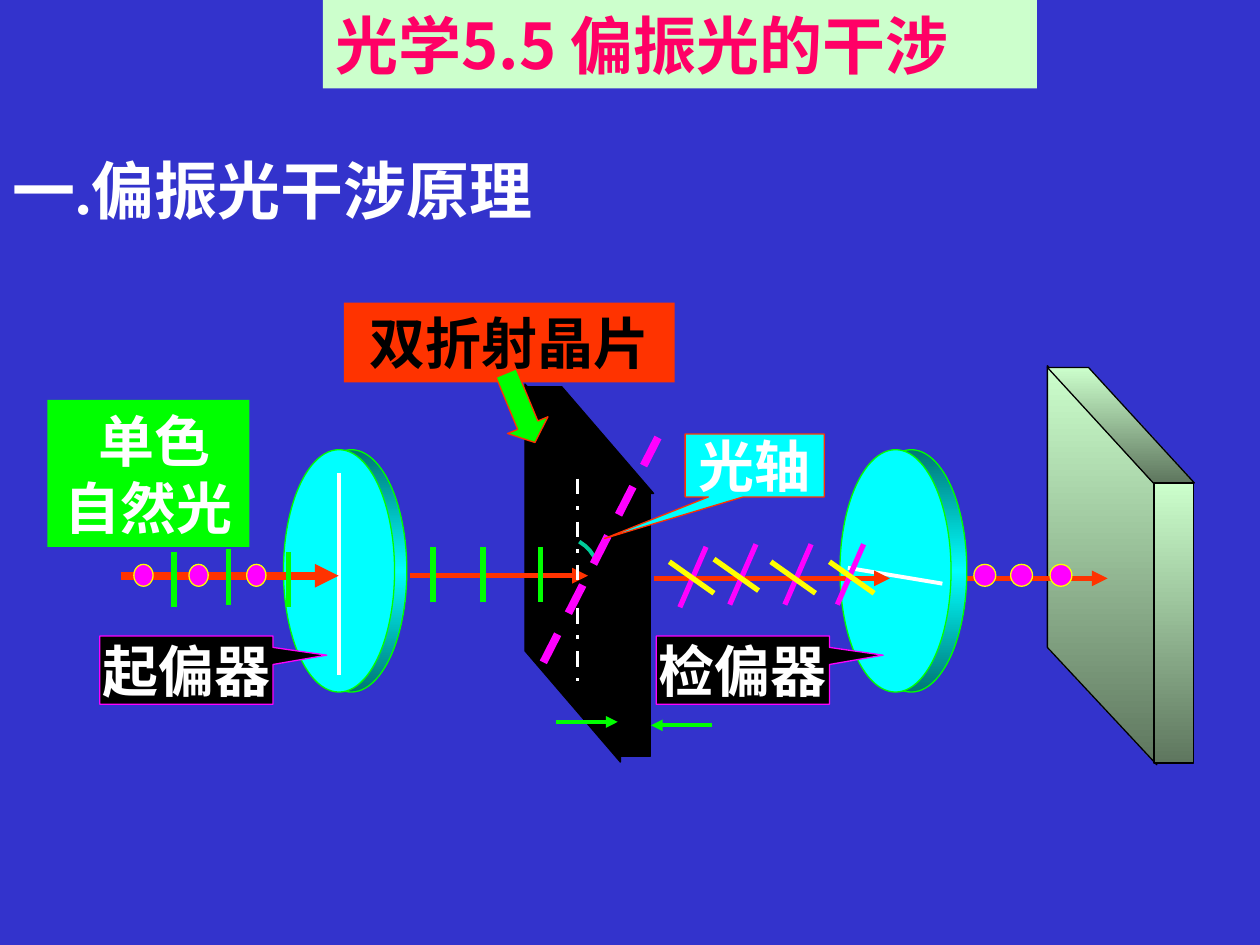
from lxml import etree
from pptx import Presentation
from pptx.dml.color import RGBColor
from pptx.enum.dml import MSO_LINE
from pptx.enum.shapes import MSO_CONNECTOR, MSO_SHAPE
from pptx.enum.text import MSO_ANCHOR, PP_ALIGN
from pptx.oxml.ns import qn
from pptx.util import Pt

RECT, OVAL = MSO_SHAPE.RECTANGLE, MSO_SHAPE.OVAL
CALLOUT, DOWN_ARROW = MSO_SHAPE.RECTANGULAR_CALLOUT, MSO_SHAPE.DOWN_ARROW
STRAIGHT = MSO_CONNECTOR.STRAIGHT
DASH, DASH_DOT = MSO_LINE.DASH, MSO_LINE.DASH_DOT
TOP, MIDDLE = MSO_ANCHOR.TOP, MSO_ANCHOR.MIDDLE
LEFT, CENTER = PP_ALIGN.LEFT, PP_ALIGN.CENTER
rgb = RGBColor.from_string

GREEN, CYAN, MAGENTA, YELLOW = "00FF00", "00FFFF", "FF00FF", "FFFF00"
RED, WHITE, BLACK = "FF3300", "FFFFFF", "000000"
GLASS = ["CCFFCC", "5E765E"]
RIM = ["007676", CYAN, "007676"]
CJK, LATIN = "Noto Sans CJK SC", "Times New Roman"


def paint(shape, colours, outline=None, width=0.75):
    shape.shadow.inherit = False
    if not colours:
        shape.fill.background()
    elif len(colours) == 1:
        shape.fill.solid()
        shape.fill.fore_color.rgb = rgb(colours[0])
    else:
        shape.fill.gradient()
        shape.fill.gradient_angle = 270
        stops = shape._element.spPr.find(qn("a:gradFill")).find(qn("a:gsLst"))
        for stop in list(stops):
            stops.remove(stop)
        for i, colour in enumerate(colours):
            position = str(100000 * i // (len(colours) - 1))
            stop = etree.SubElement(stops, qn("a:gs"), pos=position)
            etree.SubElement(stop, qn("a:srgbClr"), val=colour)
    if outline:
        shape.line.color.rgb = rgb(outline)
        shape.line.width = Pt(width)
    else:
        shape.line.fill.background()


def stroke(x1, y1, x2, y2, colour, width, arrow=False, dash=None):
    ray = slide.shapes.add_connector(STRAIGHT, Pt(x1), Pt(y1), Pt(x2), Pt(y2))
    ray.line.color.rgb = rgb(colour)
    ray.line.width = Pt(width)
    if dash:
        ray.line.dash_style = dash
    if arrow:
        etree.SubElement(ray.line._get_or_add_ln(), qn("a:tailEnd"), type="triangle")
    etree.SubElement(ray._element.spPr, qn("a:effectLst"))


prs = Presentation()
prs.slide_width, prs.slide_height = Pt(720), Pt(540)
slide = prs.slides.add_slide(prs.slide_layouts[5])
slide.background.fill.solid()
slide.background.fill.fore_color.rgb = rgb("3333CC")

title = slide.shapes.title
title.left, title.top, title.width, title.height = Pt(184.5), Pt(0), Pt(408), Pt(50.5)
title.fill.solid()
title.fill.fore_color.rgb = rgb("CCFFCC")
title.text_frame.text = "光学5.5 偏振光的干涉"
title.text_frame.vertical_anchor = TOP
title_line = title.text_frame.paragraphs[0]
title_line.alignment = LEFT
title_font = title_line.runs[0].font
title_font.name, title_font.size, title_font.bold = CJK, Pt(36), True
title_font.color.rgb = rgb("FF0066")

heading = slide.shapes.add_textbox(Pt(0), Pt(82.8), Pt(433.5), Pt(67.5))
heading.text_frame.word_wrap = True
for words, face in [("一", CJK), (".", LATIN), ("偏振光干涉原理", CJK)]:
    run = heading.text_frame.paragraphs[0].add_run()
    run.text = words
    run.font.name, run.font.size, run.font.bold = face, Pt(36), True
    run.font.color.rgb = rgb(WHITE)

wall = (
    [(598.5, 370), (661, 437), (661, 276), (598.5, 209)],
    [(622, 210), (682.5, 276), (659, 276), (598.5, 210)],
    (659.5, 276, 22.5, 160), GLASS)
crystal = (
    [(300, 372), (354.5, 435.5), (354.5, 282), (300, 219.5)],
    [(321, 221), (373.5, 282), (353, 282), (300, 221)],
    (353, 282, 18.5, 150.5), [BLACK])
for front, top, side, colours in (wall, crystal):
    for corners in (front, top):
        points = [(Pt(x), Pt(y)) for x, y in corners]
        builder = slide.shapes.build_freeform(*points[0])
        builder.add_line_segments(points[1:])
        paint(builder.convert_to_shape(), colours, BLACK)
    paint(slide.shapes.add_shape(RECT, *map(Pt, side)), colours, BLACK)

stroke(552, 330.5, 633, 330.5, RED, 3, arrow=True)

for front_x, rim_x in [(162, 169), (480, 489)]:
    for x, colours in [(rim_x, RIM), (front_x, [CYAN])]:
        disc = slide.shapes.add_shape(OVAL, Pt(x), Pt(257), Pt(63.5), Pt(138.5))
        paint(disc, colours, GREEN)
stroke(193.5, 270.5, 193.5, 386, WHITE, 2.25)
stroke(484.5, 324.5, 538.5, 333.5, WHITE, 2.25)

stroke(69, 329, 193.5, 329, RED, 4.5, arrow=True)
stroke(234, 329, 336, 329, RED, 3, arrow=True)
stroke(373.5, 330.5, 508.5, 330.5, RED, 3, arrow=True)

for x, width in [(76.5, 11), (108, 11), (141, 11), (556.5, 12.5), (577.5, 12.5), (600, 12.5)]:
    dot = slide.shapes.add_shape(OVAL, Pt(x), Pt(322.5), Pt(width), Pt(12.5))
    paint(dot, [MAGENTA], YELLOW)
for x, y in [(99.5, 315.5), (130.5, 314), (165, 315.5),
             (247.5, 312.5), (276, 312.5), (309, 312.5)]:
    stroke(x, y, x, y + 31.5, GREEN, 3)
for x, y in [(403.5, 312.5), (432, 311), (463.5, 311), (493.5, 311)]:
    stroke(x, y, x - 15, y + 34.5, MAGENTA, 3)
for x, y in [(382.5, 321), (408, 319.5), (440.5, 321), (474, 321)]:
    stroke(x, y, x + 25.5, y + 18, YELLOW, 3)

stroke(330, 273.5, 330, 389, WHITE, 2.25, dash=DASH_DOT)
angle_points = [(331, 309.5), (334.5, 312), (337, 314.5), (340.5, 319.5)]
angle_points = [(Pt(x), Pt(y)) for x, y in angle_points]
angle_builder = slide.shapes.build_freeform(*angle_points[0])
angle_builder.add_line_segments(angle_points[1:], close=False)
paint(angle_builder.convert_to_shape(), [], "00CC99", 2.25)
stroke(310.5, 378.5, 376.5, 249, MAGENTA, 4.5, dash=DASH)
stroke(318, 412.5, 353, 412.5, GREEN, 2.25, arrow=True)
stroke(407, 414.5, 372, 414.5, GREEN, 2.25, arrow=True)

labels = [
    (" 单色自然光", (27, 228.5, 115.5, 84), GREEN, None, WHITE, None),
    ("双折射晶片", (196.5, 173, 189, 45.5), RED, None, BLACK, None),
    ("起偏器", (57, 363.5, 99, 39), BLACK, MAGENTA, WHITE, (0.81, -0.22)),
    ("检偏器", (375, 363.5, 99, 39), BLACK, MAGENTA, WHITE, (0.81, -0.22)),
    ("光轴", (391.5, 248, 79.5, 36), CYAN, RED, WHITE, (-1.08, 1.16)),
]
for words, box, fill, outline, ink, pointer in labels:
    label = slide.shapes.add_shape(CALLOUT if pointer else RECT, *map(Pt, box))
    paint(label, [fill], outline)
    if pointer:
        label.adjustments[0], label.adjustments[1] = pointer
    frame = label.text_frame
    frame.text = words
    frame.word_wrap = not pointer
    frame.vertical_anchor = MIDDLE if pointer else TOP
    frame.paragraphs[0].alignment = CENTER
    font = frame.paragraphs[0].runs[0].font
    font.name, font.size, font.bold = LATIN, Pt(32), True
    font.color.rgb = rgb(ink)

crystal_pointer = slide.shapes.add_shape(DOWN_ARROW, Pt(285), Pt(211.5), Pt(25), Pt(43))
crystal_pointer.rotation = 337.5
crystal_pointer.adjustments[1] = 0.43
paint(crystal_pointer, [GREEN], RED)

prs.save("out.pptx")
